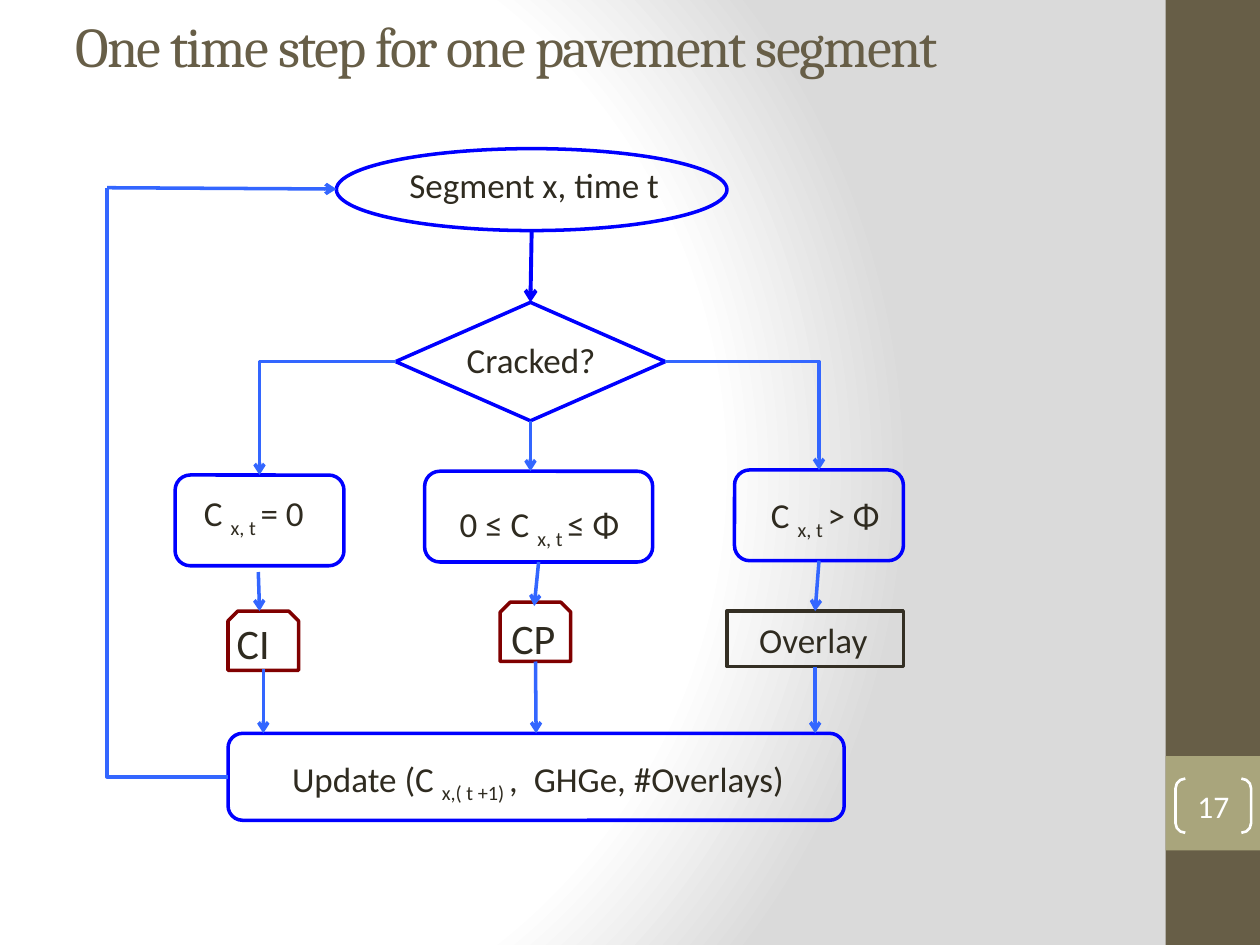
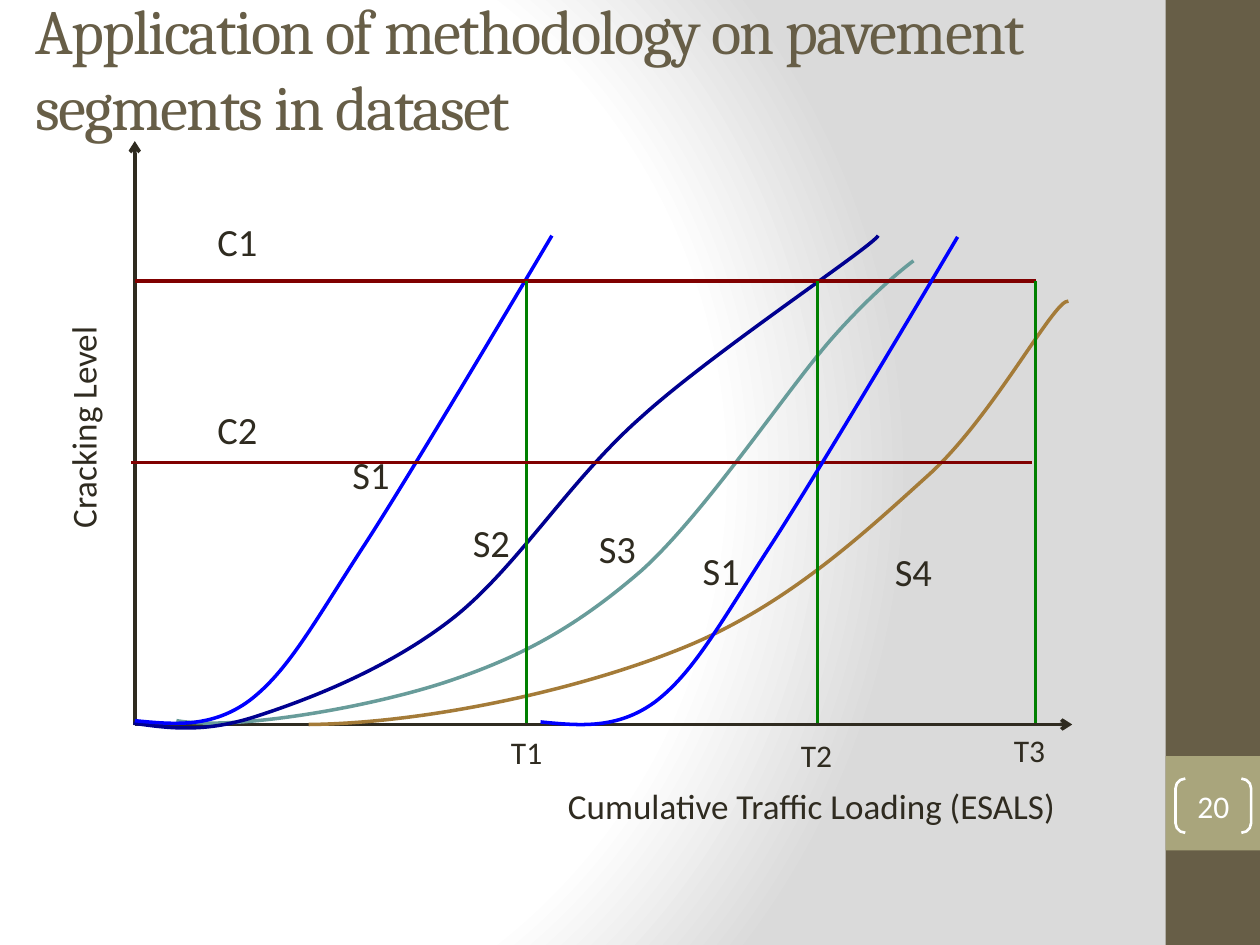
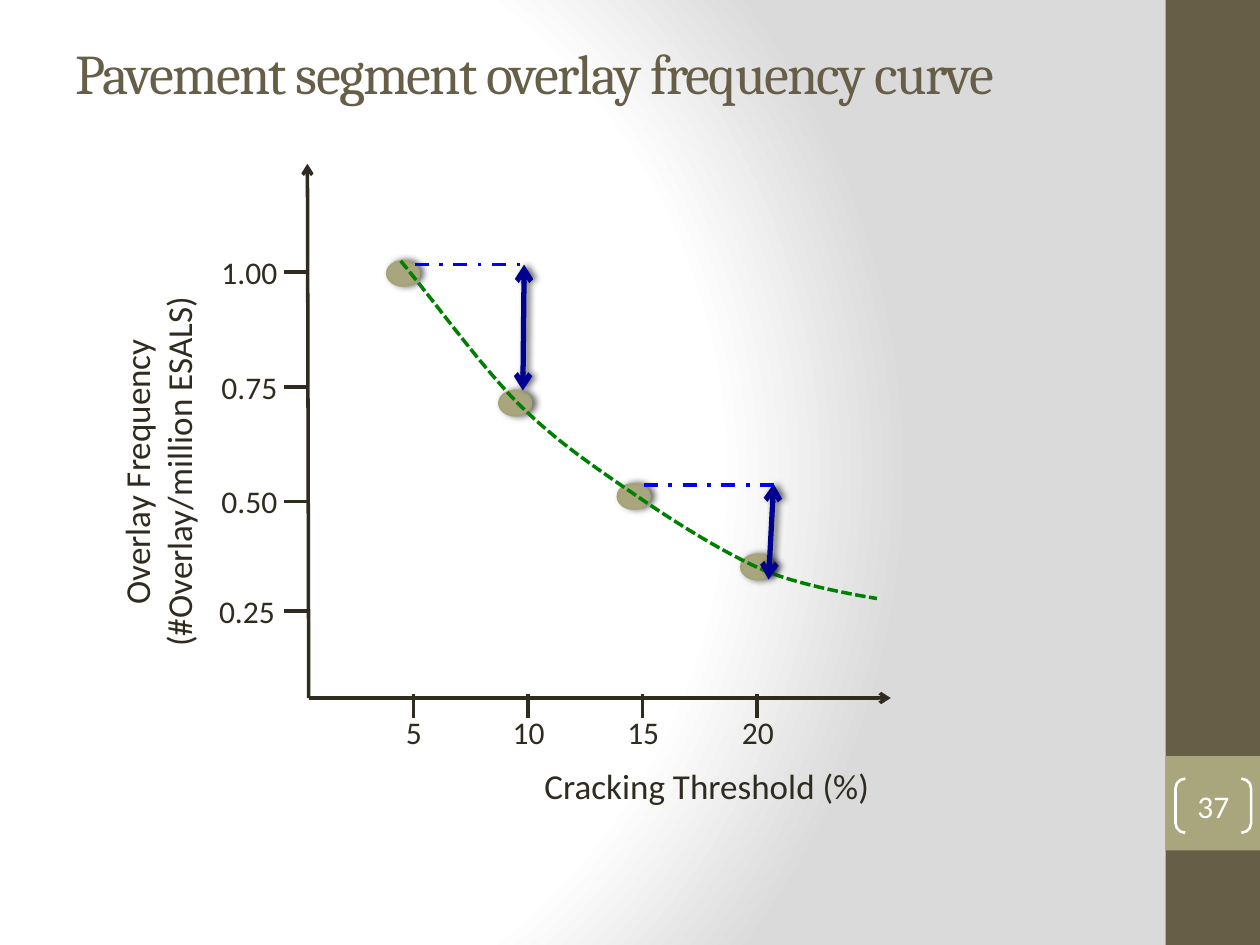
"""Build three slides on pavement cracking: a flowchart and two sketched graphs."""
from dataclasses import dataclass

from lxml import etree
from pptx import Presentation
from pptx.dml.color import RGBColor
from pptx.enum.dml import MSO_LINE
from pptx.enum.shapes import MSO_CONNECTOR, MSO_SHAPE
from pptx.enum.text import MSO_ANCHOR, MSO_AUTO_SIZE, PP_ALIGN
from pptx.oxml.ns import qn
from pptx.util import Emu, Pt

PX = 9144
RECT, ROUND, OVAL = MSO_SHAPE.RECTANGLE, MSO_SHAPE.ROUNDED_RECTANGLE, MSO_SHAPE.OVAL
DIAMOND, SNIP = MSO_SHAPE.DIAMOND, MSO_SHAPE.SNIP_2_SAME_RECTANGLE
BRACKETS = MSO_SHAPE.DOUBLE_BRACKET
STRAIGHT, ELBOW = MSO_CONNECTOR.STRAIGHT, MSO_CONNECTOR.ELBOW
LEFT, CENTER = PP_ALIGN.LEFT, PP_ALIGN.CENTER
TOP, MIDDLE = MSO_ANCHOR.TOP, MSO_ANCHOR.MIDDLE
SHORT_DASH, DASH_DOT = MSO_LINE.SQUARE_DOT, MSO_LINE.DASH_DOT
SIDE_TOP, SIDE_LEFT, SIDE_BOTTOM, SIDE_RIGHT = range(4)


@dataclass(frozen=True)
class Theme:
    """Colours, fonts and type sizes of the deck."""
    white: str = "FFFFFF"
    grey: str = "DADADA"
    brown: str = "675E47"
    sage: str = "A9A57C"
    sage_edge: str = "A6A278"
    ink: str = "2F2B20"
    box_ink: str = "342F24"
    blue: str = "0000FF"
    sky: str = "3366FF"
    navy: str = "000090"
    maroon: str = "800000"
    green: str = "008000"
    teal: str = "689C9A"
    ochre: str = "A47B38"
    head_font: str = "Cambria"
    body_font: str = "Calibri"
    title: int = 32
    big_title: int = 36
    code: int = 24
    curve: int = 22
    body: int = 20
    small: int = 18


T = Theme()


def rgb(color):
    """Turn a hex string into a colour."""
    return RGBColor.from_string(color)


def sub(parent, tag, **attrs):
    """Append a child element with the given attributes."""
    return etree.SubElement(parent, qn(tag), {k: str(v) for k, v in attrs.items()})


def write(tf, text, size=T.body, font=T.body_font, color=T.ink, align=CENTER,
          anchor=TOP, spacing=None):
    """Write one paragraph; every second part between bars is subscript."""
    tf.word_wrap = True
    tf.vertical_anchor = anchor
    p = tf.paragraphs[0]
    p.alignment = align
    for i, part in enumerate(text.split("|")):
        r = p.add_run()
        r.text = part
        r.font.size, r.font.name = Pt(size), font
        r.font.color.rgb = rgb(color)
        if i % 2:
            r.font._element.set("baseline", "-25000")
        if spacing:
            r.font._element.set("spc", str(spacing))


class Deck:
    """Holds the presentation, its style and the current slide."""

    def __init__(self):
        """Set the slide size and the shared background."""
        self.prs = Presentation()
        self.prs.slide_width, self.prs.slide_height = Emu(1000 * PX), Emu(750 * PX)
        master = self.prs.slide_master
        master.background.fill.gradient()
        grad = next(master.element.iter(qn("a:gradFill")))
        for child in list(grad):
            grad.remove(child)
        stops = sub(grad, "a:gsLst")
        for pos, color in ((0, T.white), (75, T.white), (100, T.grey)):
            sub(sub(stops, "a:gs", pos=pos * 1000), "a:srgbClr", val=color)
        circle = sub(grad, "a:path", path="circle")
        sub(circle, "a:fillToRect", l=20000, t=50000, r=100000, b=50000)

    def slide(self, title, number, at, size=T.title):
        """Add a slide with its side band, title and number."""
        self.shapes = self.prs.slides.add_slide(self.prs.slide_layouts[6]).shapes
        self.shape(RECT, (925, 0, 75, 750), fill=T.brown)
        self.shape(RECT, (925, 600, 75, 75), fill=T.sage)
        s = self.shape(BRACKETS, (933, 618, 60, 43), line=T.white, width=1.5)
        s.adjustments[0] = 0.18
        tf = s.text_frame
        tf.margin_left = tf.margin_top = tf.margin_right = tf.margin_bottom = 0
        write(tf, number, size=T.small, color=T.white, anchor=MIDDLE)
        self.text(title, at, grow=False, size=size, font=T.head_font, color=T.brown,
                  align=LEFT, anchor=MIDDLE, spacing=-100)

    def style(self, s, color, width, dash=None, shadow=False):
        """Set the outline and the shadow of an element."""
        if color:
            s.line.color.rgb = rgb(color)
            s.line.width = Pt(width)
            if dash:
                s.line.dash_style = dash
        else:
            s.line.fill.background()
        effects = sub(s._element.spPr, "a:effectLst")
        if shadow:
            outer = sub(effects, "a:outerShdw", blurRad=Pt(4), dist=Pt(2), dir=0)
            sub(sub(outer, "a:srgbClr", val="000000"), "a:alpha", val=60000)

    def shape(self, kind, at, fill=None, line=None, width=2, shadow=False):
        """Add a preset shape."""
        s = self.shapes.add_shape(kind, *(Emu(v * PX) for v in at))
        if fill:
            s.fill.solid()
            s.fill.fore_color.rgb = rgb(fill)
        else:
            s.fill.background()
        self.style(s, line, width, shadow=shadow)
        return s

    def text(self, text, at, rotation=0, grow=True, **fmt):
        """Add a text box."""
        s = self.shapes.add_textbox(*(Emu(v * PX) for v in at))
        s.rotation = rotation
        write(s.text_frame, text, **fmt)
        if grow:
            s.text_frame.auto_size = MSO_AUTO_SIZE.SHAPE_TO_FIT_TEXT

    def line(self, ends, color=T.ink, width=2, dash=None, head=False, tail=False,
             shadow=False, bent=False, begin=None, end=None):
        """Add a connector, joined to shapes where begin or end is given."""
        s = self.shapes.add_connector(ELBOW if bent else STRAIGHT,
                                      *(Emu(v * PX) for v in ends))
        if bent:
            s._element.spPr.find(qn("a:prstGeom")).set("prst", "bentConnector2")
        if begin:
            s.begin_connect(*begin)
        if end:
            s.end_connect(*end)
        self.style(s, color, width, dash, shadow)
        for tag, wanted in (("a:headEnd", head), ("a:tailEnd", tail)):
            if wanted:
                sub(s.line._get_or_add_ln(), tag, type="arrow")

    def curve(self, points, color, dash=None):
        """Add an open Bezier curve: a start, then three points a piece."""
        fb = self.shapes.build_freeform(*points[0], scale=PX)
        fb.add_line_segments(points[1:], close=False)
        s = fb.convert_to_shape()
        outline = next(s._element.iter(qn("a:path")))
        steps = outline.findall(qn("a:lnTo"))
        for i in range(0, len(steps), 3):
            bezier = sub(outline, "a:cubicBezTo")
            for step in steps[i:i + 3]:
                bezier.append(step[0])
                outline.remove(step)
        s.fill.background()
        self.style(s, color, 2, dash)


def flowchart(deck):
    """Draw the steps for one pavement segment."""
    deck.slide("One time step for one pavement segment", "17", (50, 1, 833, 70))
    deck.shape(OVAL, (267, 118, 310, 65), line=T.blue)
    cracked = deck.shape(DIAMOND, (314, 240, 214, 94), line=T.blue)
    none, some, many = (deck.shape(ROUND, (x, y, w, 72), line=T.blue)
                        for x, y, w in ((139, 377, 134), (337, 374, 181), (583, 373, 134)))
    for x, y in ((181, 485), (397, 478)):
        deck.shape(SNIP, (x, y, 56, 47), line=T.maroon)
    update = deck.shape(ROUND, (181, 582, 489, 69), line=T.blue)
    overlay = deck.shape(RECT, (577, 485, 140, 44), line=T.box_ink)

    for label, at in (("Segment x, time t", (297, 125, 254, 44)),
                      ("Cracked?", (347, 264, 149, 44)),
                      ("Overlay", (571, 486, 149, 44)),
                      ("Update (C |x,( t +1) |,  GHGe, #Overlays)", (182, 596, 490, 44))):
        deck.text(label, at)
    for label, at in (("C |x, t |= 0", (152, 385, 121, 44)),
                      ("0 ≤ C |x, t |≤ Φ", (355, 394, 163, 44)),
                      ("C |x, t |> Φ", (602, 387, 115, 44))):
        deck.text(label, at, align=LEFT)
    for label, at in (("CI", (178, 485, 56, 50)), ("CP", (396, 481, 56, 50))):
        deck.text(label, at, size=T.code, align=LEFT)

    deck.line((422, 183, 421, 240), T.blue, 2.25, tail=True, end=(cracked, SIDE_TOP))
    for ends, joins in (
            ((421, 334, 421, 374), {"begin": (cracked, SIDE_BOTTOM)}),
            ((427, 446, 424, 481), {"begin": (some, SIDE_BOTTOM)}),
            ((205, 454, 206, 485), {}),
            ((85, 149, 267, 150), {}),
            ((650, 445, 647, 485), {"begin": (many, SIDE_BOTTOM), "end": (overlay, SIDE_TOP)}),
            ((425, 525, 426, 582), {"end": (update, SIDE_TOP)}),
            ((209, 531, 209, 582), {}),
            ((647, 529, 647, 582), {"begin": (overlay, SIDE_BOTTOM)})):
        deck.line(ends, T.sky, tail=True, **joins)
    deck.line((181, 617, 85, 149), T.sky, bent=True, begin=(update, SIDE_LEFT))
    deck.line((528, 287, 650, 373), T.sky, bent=True, tail=True,
              begin=(cracked, SIDE_RIGHT), end=(many, SIDE_TOP))
    deck.line((314, 287, 206, 377), T.sky, bent=True, tail=True,
              begin=(cracked, SIDE_LEFT), end=(none, SIDE_TOP))


def cracking_graph(deck):
    """Draw cracking level against traffic loading."""
    deck.slide("Application of methodology on pavement segments in dataset", "20",
               (18, 16, 888, 75), size=T.big_title)
    for ends in ((107, 575, 107, 112), (107, 575, 851, 575)):
        deck.line(ends, tail=True)
    s1 = [(107, 572), (138, 575), (168, 578), (198, 556), (228, 533), (247, 498),
          (287, 436), (327, 375), (438, 187), (438, 187)]
    s2 = [(106, 574), (134, 578), (163, 582), (205, 568), (248, 554), (309, 530),
          (359, 491), (410, 451), (452, 381), (509, 331), (565, 280), (692, 196), (697, 187)]
    s3 = [(140, 572), (186, 580), (290, 562), (352, 542), (413, 522), (457, 498),
          (509, 453), (560, 407), (624, 310), (660, 269), (696, 228), (725, 207), (725, 207)]
    s4 = [(245, 575), (338, 574), (458, 548), (540, 515), (623, 482), (685, 424),
          (737, 377), (788, 331), (837, 237), (848, 239)]
    later_s1 = [(x + 322, y + 1) for x, y in s1]
    for points, color in ((s3, T.teal), (s2, T.navy), (s4, T.ochre), (s1, T.blue)):
        deck.curve(points, color)
    deck.line((107, 223, 822, 223), T.maroon)
    for x in (418, 649, 822):
        deck.line((x, 223, x, 574), T.green)
    deck.line((104, 367, 819, 367), T.maroon)
    deck.curve(later_s1, T.blue)

    for label, x, y, w in (("S4", 690, 430, 70), ("S3", 459, 412, 62), ("S2", 350, 407, 80),
                           ("S1", 263, 353, 63), ("S1", 541, 429, 63),
                           ("C1", 157, 168, 63), ("C2", 157, 317, 63)):
        deck.text(label, (x, y, w, 47), size=T.curve)
    for label, x, y in (("T1", 390, 577), ("T2", 620, 579), ("T3", 789, 575)):
        deck.text(label, (x, y, 56, 40), size=T.small)
    deck.text("Cumulative Traffic Loading (ESALS)", (441, 618, 414, 44), align=LEFT)
    deck.text("Cracking Level", (-29, 312, 190, 44), rotation=270, align=LEFT)


def frequency_graph(deck):
    """Draw overlay frequency against the cracking threshold."""
    deck.slide("Pavement segment overlay frequency curve", "37", (50, 30, 833, 55))
    for ends in ((245, 554, 244, 130), (245, 554, 707, 554)):
        deck.line(ends, tail=True)
    for label, x, y in (("1.00", 166, 216), ("0.75", 166, 307),
                        ("0.50", 166, 398), ("0.25", 164, 485)):
        deck.line((245, y, 225, y))
        deck.text(label, (x, y - 20, 80, 40), size=T.small, align=LEFT)
    for i, label in enumerate(("5", "10", "15", "20")):
        x = 328 + 91 * i
        deck.line((x, 551, x, 570))
        deck.text(label, (x - 30, 561, 61, 40), size=T.small)
    for x, y in ((307, 207), (396, 310), (490, 384), (588, 440)):
        deck.shape(OVAL, (x, y, 26, 20), T.sage, T.sage_edge, 1, shadow=True)
    deck.curve([(318, 207), (350, 246), (380, 288), (410, 319), (441, 350), (471, 370),
                (503, 392), (535, 414), (573, 438), (605, 452), (637, 466), (696, 475),
                (696, 475)], T.green, SHORT_DASH)
    deck.text("Overlay Frequency (#Overlay/million ESALS)", (-37, 336, 324, 77), rotation=270)
    deck.text("Cracking Threshold (%)", (396, 602, 330, 44))
    for ends in ((416, 210, 415, 310), (614, 384, 610, 460)):
        deck.line(ends, T.navy, 3, head=True, tail=True, shadow=True)
    for ends in ((329, 210, 419, 210), (511, 385, 615, 385)):
        deck.line(ends, T.blue, dash=DASH_DOT)


def main():
    """Build the deck and save it."""
    deck = Deck()
    flowchart(deck)
    cracking_graph(deck)
    frequency_graph(deck)
    deck.prs.save("out.pptx")


if __name__ == "__main__":
    main()
